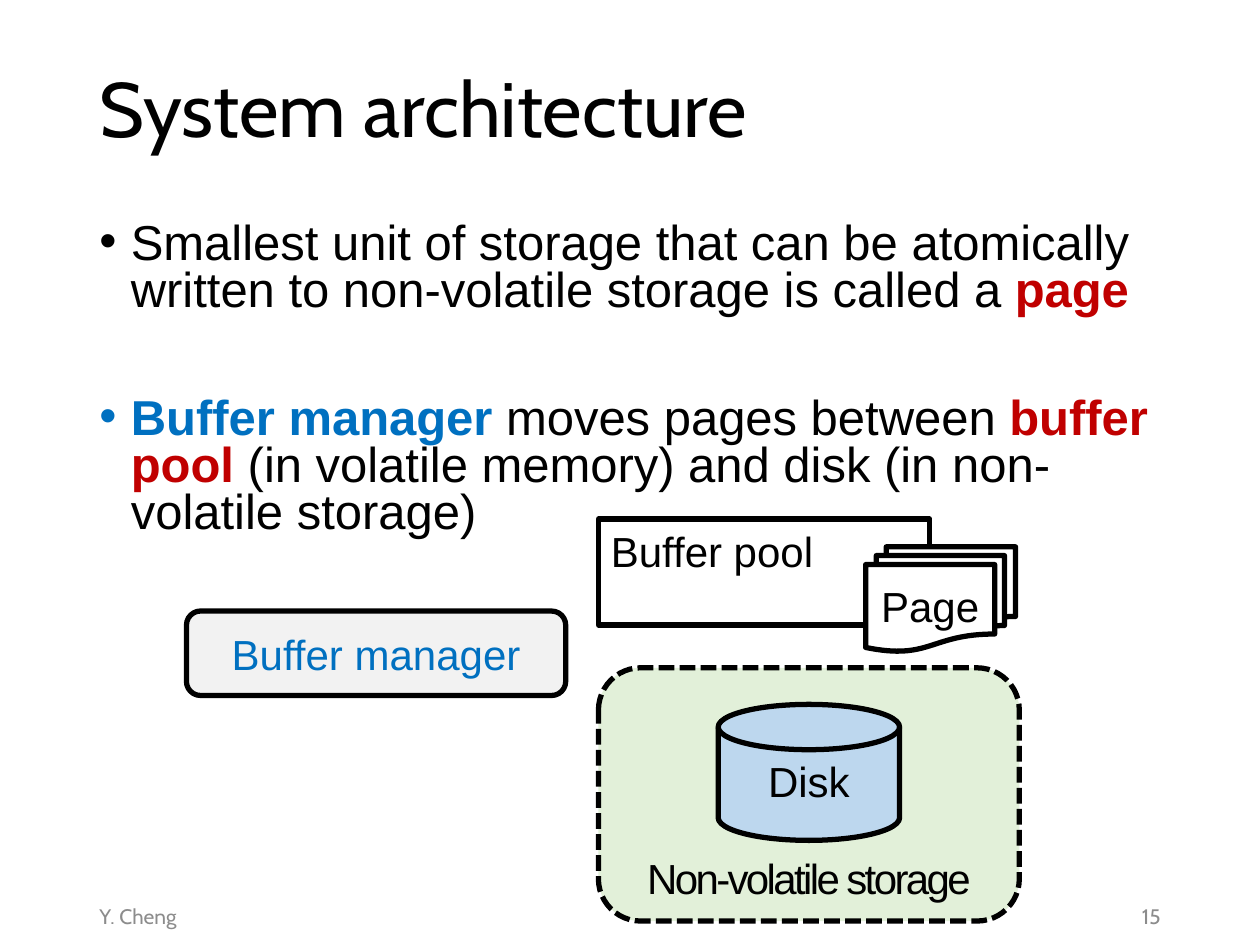
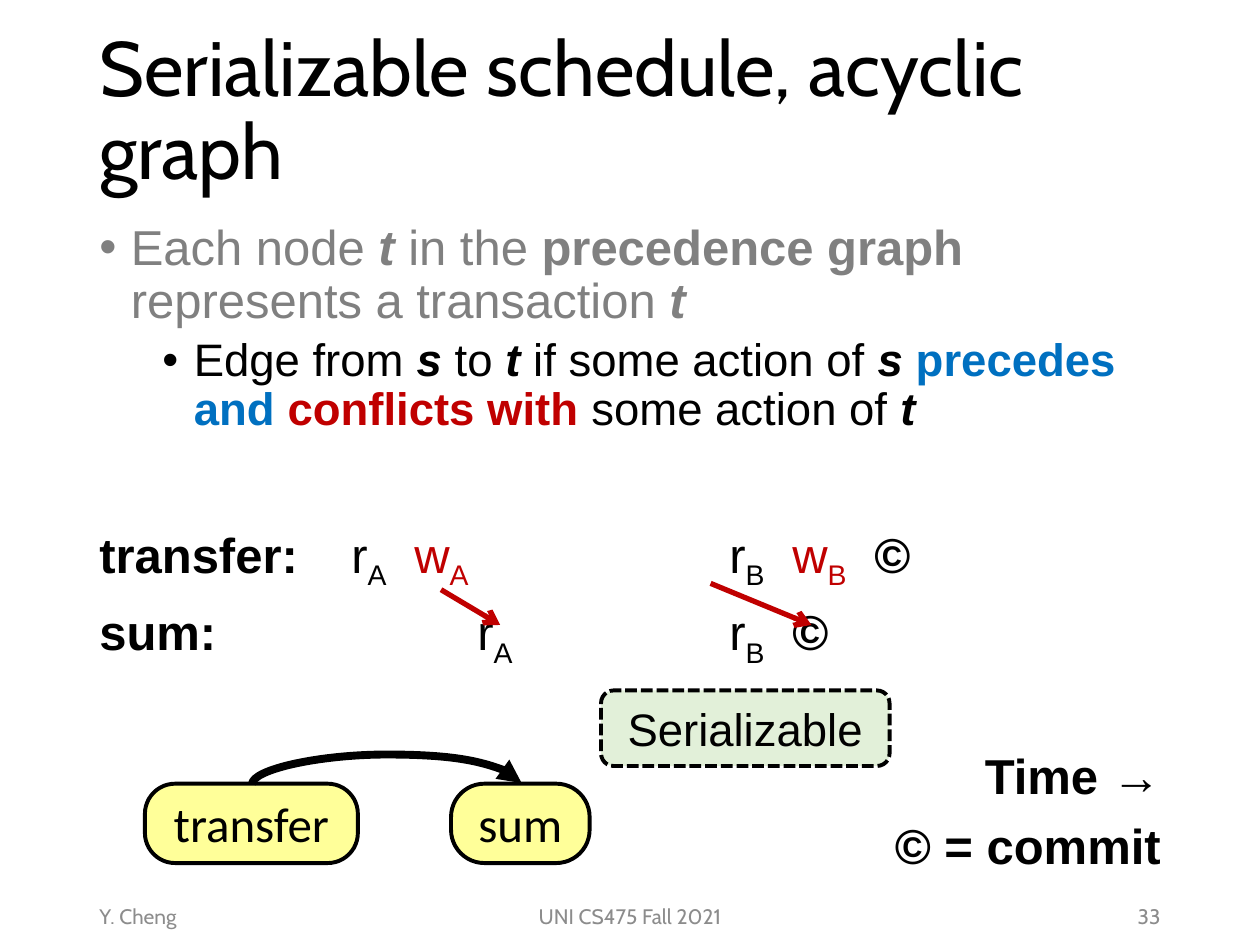
import lxml.etree
import pptx
import pptx.dml.color
import pptx.enum.dml
import pptx.enum.shapes
import pptx.enum.text
import pptx.oxml.ns
import pptx.util

Inches = pptx.util.Inches
Pt = pptx.util.Pt
Kind = pptx.enum.shapes.MSO_SHAPE
Wire = pptx.enum.shapes.MSO_CONNECTOR
Align = pptx.enum.text.PP_ALIGN
Anchor = pptx.enum.text.MSO_ANCHOR

COLORS = {
    "black": "000000",
    "white": "FFFFFF",
    "red": "C00000",
    "blue": "0070C0",
    "gray": "808080",
    "footer": "8C8C8C",
    "panel": "F2F2F2",
    "green": "E2F0D9",
    "disk": "BDD7EE",
    "yellow": "FFFF99",
}
RED = {"color": "red"}
SUB = {"base": -25}
BOLD = {"bold": True}
RED_SUB = RED | SUB
RED_BOLD = RED | BOLD
BLUE_BOLD = {"color": "blue", "bold": True}
BOLD_ITALIC = {"bold": True, "italic": True}


def color_of(name):
    return pptx.dml.color.RGBColor.from_string(COLORS[name])


def add_tag(parent, tag, **attributes):
    return lxml.etree.SubElement(parent, pptx.oxml.ns.qn(tag), **attributes)


def write(para, text, size=28, font="Arial", color="black", bold=False,
          italic=False, base=0, tracking=0):
    span = para.add_run()
    span.text = text
    span.font.name = font
    span.font.size = Pt(size)
    span.font.bold = bold
    span.font.italic = italic
    span.font.color.rgb = color_of(color)
    properties = span.font._element
    if base:
        properties.set("baseline", str(base * 1000))
    if tracking:
        properties.set("spc", str(int(tracking * 100)))


class Board:
    left, width = 0.69, 8.62
    bullet_indent = 0.25

    def __init__(self, deck):
        self.deck = deck
        self.page = None

    def start(self, title, number, course=None):
        self.page = self.deck.slides.add_slide(self.deck.slide_layouts[6])
        heading = self.text_box(self.left, 0.17, self.width, 1.45, Anchor.MIDDLE)
        para = heading.paragraphs[0]
        para.line_spacing = 0.9
        write(para, title, size=44, font="Cabin")
        self.footer("Y. Cheng", self.left, 2.25, Align.LEFT)
        if course:
            self.footer(course, 3.31, 3.38, Align.CENTER)
        self.footer(str(number), 7.06, 2.25, Align.RIGHT)

    def text_box(self, left, top, width, height, anchor=Anchor.TOP):
        box = self.page.shapes.add_textbox(
            Inches(left), Inches(top), Inches(width), Inches(height))
        box.text_frame.word_wrap = True
        box.text_frame.vertical_anchor = anchor
        return box.text_frame

    def footer(self, text, left, width, align):
        para = self.text_box(left, 7.07, width, 0.4, Anchor.MIDDLE).paragraphs[0]
        para.alignment = align
        write(para, text, size=12, font="Cabin", color="footer")

    def body(self, height, line_spacing):
        self.frame = self.text_box(self.left, 1.72, self.width, height)
        self.line_spacing = line_spacing
        self.fresh = True

    def line(self, *spans, before=10, align=Align.LEFT, level=None, tabs=(), **common):
        para = self.frame.paragraphs[0] if self.fresh else self.frame.add_paragraph()
        self.fresh = False
        para.line_spacing = self.line_spacing
        para.space_before = Pt(before)
        para.alignment = align
        properties = para._p.get_or_add_pPr()
        if level is not None:
            para.level = level
            margin = self.bullet_indent + 0.5 * level
            properties.set("marL", str(Inches(margin)))
            properties.set("indent", str(-Inches(self.bullet_indent)))
            add_tag(properties, "a:buFont", typeface="Arial")
            add_tag(properties, "a:buChar", char="•")
        if tabs:
            stops = add_tag(properties, "a:tabLst")
            for stop in tabs:
                add_tag(stops, "a:tab", pos=str(Inches(stop)), algn="l")
        for text, style in spans:
            write(para, text, **(common | style))

    def shape(self, kind, left, top, width, height, text, fill=None, weight=3,
              dashed=False, anchor=Anchor.MIDDLE, align=Align.CENTER,
              corner=None, **style):
        shape = self.page.shapes.add_shape(
            kind, Inches(left), Inches(top), Inches(width), Inches(height))
        shape.shadow.inherit = False
        if corner:
            shape.adjustments[0] = corner
        if fill:
            shape.fill.solid()
            shape.fill.fore_color.rgb = color_of(fill)
        else:
            shape.fill.background()
        shape.line.color.rgb = color_of("black")
        shape.line.width = Pt(weight)
        if dashed:
            shape.line.dash_style = pptx.enum.dml.MSO_LINE.SQUARE_DOT
        shape.text_frame.word_wrap = True
        shape.text_frame.vertical_anchor = anchor
        para = shape.text_frame.paragraphs[0]
        para.alignment = align
        write(para, text, **({"size": 24} | style))

    def arrow(self, start, end, color, weight, head, kind=Wire.STRAIGHT):
        arrow = self.page.shapes.add_connector(
            kind, *[Inches(value) for value in (*start, *end)])
        arrow.line.color.rgb = color_of(color)
        arrow.line.width = Pt(weight)
        add_tag(arrow.line._get_or_add_ln(), "a:tailEnd", type=head)
        add_tag(arrow._element.spPr, "a:effectLst")
        return arrow

    def arc(self, left, right, base, rise):
        center, half, thin = (left + right) / 2, (right - left) / 2, 0.01
        arc = self.arrow((center + thin / 2, base + half),
                         (center - thin / 2, base - half),
                         "black", 4.5, "triangle", Wire.CURVE)
        properties = arc._element.spPr
        properties.find(pptx.oxml.ns.qn("a:xfrm")).set("rot", str(90 * 60000))
        geometry = properties.find(pptx.oxml.ns.qn("a:prstGeom"))
        values = geometry.find(pptx.oxml.ns.qn("a:avLst"))
        if values is None:
            values = add_tag(geometry, "a:avLst")
        ratio = round(rise / thin * 100000)
        add_tag(values, "a:gd", name="adj1", fmla=f"val {ratio}")


def architecture(board):
    board.start("System architecture", 15)
    board.body(2.78, 0.8)
    board.line(("Smallest unit of storage that can be atomically written to "
                "non-volatile storage is called a ", {}),
               ("page", RED_BOLD), level=0)
    board.line(("Buffer manager ", BLUE_BOLD), ("moves pages between ", {}),
               ("buffer pool ", RED_BOLD),
               ("(in volatile memory) and disk (in non-volatile storage)", {}),
               level=0, before=46)
    board.shape(Kind.RECTANGLE, 4.75, 4.12, 2.63, 0.84, "Buffer pool",
                anchor=Anchor.TOP, align=Align.LEFT)
    board.shape(Kind.FLOWCHART_ALTERNATE_PROCESS, 1.48, 4.85, 3.01, 0.67,
                "Buffer manager", fill="panel", color="blue")
    board.shape(Kind.FLOWCHART_MULTIDOCUMENT, 6.87, 4.34, 1.19, 0.83, "Page",
                fill="white")
    board.shape(Kind.ROUNDED_RECTANGLE, 4.75, 5.3, 3.34, 2.01,
                "Non-volatile storage", fill="green", dashed=True,
                anchor=Anchor.BOTTOM, tracking=-1.5)
    board.shape(Kind.FLOWCHART_MAGNETIC_DISK, 5.7, 5.59, 1.44, 1.08, "Disk",
                fill="disk", anchor=Anchor.TOP)


def schedule(board):
    board.start("Serializable schedule, acyclic graph", 33, "UNI CS475 Fall 2021")
    board.body(5.24, 0.9)
    board.line(("Each node ", {}), ("t", BOLD_ITALIC), (" in the ", {}),
               ("precedence graph ", BOLD), ("represents a transaction ", {}),
               ("t", BOLD_ITALIC), level=0, color="gray")
    board.line(("Edge from ", {}), ("s", BOLD_ITALIC), (" to ", {}),
               ("t", BOLD_ITALIC), (" if some action of ", {}),
               ("s ", BOLD_ITALIC), ("precedes and ", BLUE_BOLD),
               ("conflicts with ", RED_BOLD), ("some action of ", {}),
               ("t", BOLD_ITALIC), level=1, before=5, size=26)
    board.line(("transfer:", BOLD), ("\tr", {}), ("A", SUB),
               ("\tw", RED), ("A", RED_SUB), ("\tr", {}), ("B", SUB),
               ("\tw", RED), ("B", RED_SUB), ("\t©", BOLD),
               before=51, tabs=(2, 2.5, 5, 5.5, 6.15))
    board.line(("sum:", BOLD), ("\tr", {}), ("A", SUB), ("\tr", {}),
               ("B", SUB), ("\t©", BOLD), tabs=(3, 5, 5.5))
    board.line(("Time →", BOLD), before=51, align=Align.RIGHT)
    board.line(("© = commit", BOLD), align=Align.RIGHT)

    for left, width, corner, name in ((1.15, 1.69, 0.38, "transfer"),
                                      (3.58, 1.1, 0.42, "sum")):
        board.shape(Kind.ROUNDED_RECTANGLE, left, 6.22, width, 0.63, name,
                    fill="yellow", weight=2.25, corner=corner,
                    size=28, font="Calibri")
    for start, end in (((3.5, 4.68), (3.97, 4.96)), ((5.64, 4.63), (6.44, 4.96))):
        board.arrow(start, end, "red", 3, "arrow")
    board.arc(2, 4.14, base=6.22, rise=0.24)
    board.shape(Kind.ROUNDED_RECTANGLE, 4.77, 5.48, 2.29, 0.6, "Serializable",
                fill="green", weight=2.25, dashed=True, size=26)


def main():
    deck = pptx.Presentation()
    deck.slide_width = Inches(10)
    deck.slide_height = Inches(7.5)
    board = Board(deck)
    architecture(board)
    schedule(board)
    deck.save("out.pptx")


if __name__ == "__main__":
    main()
